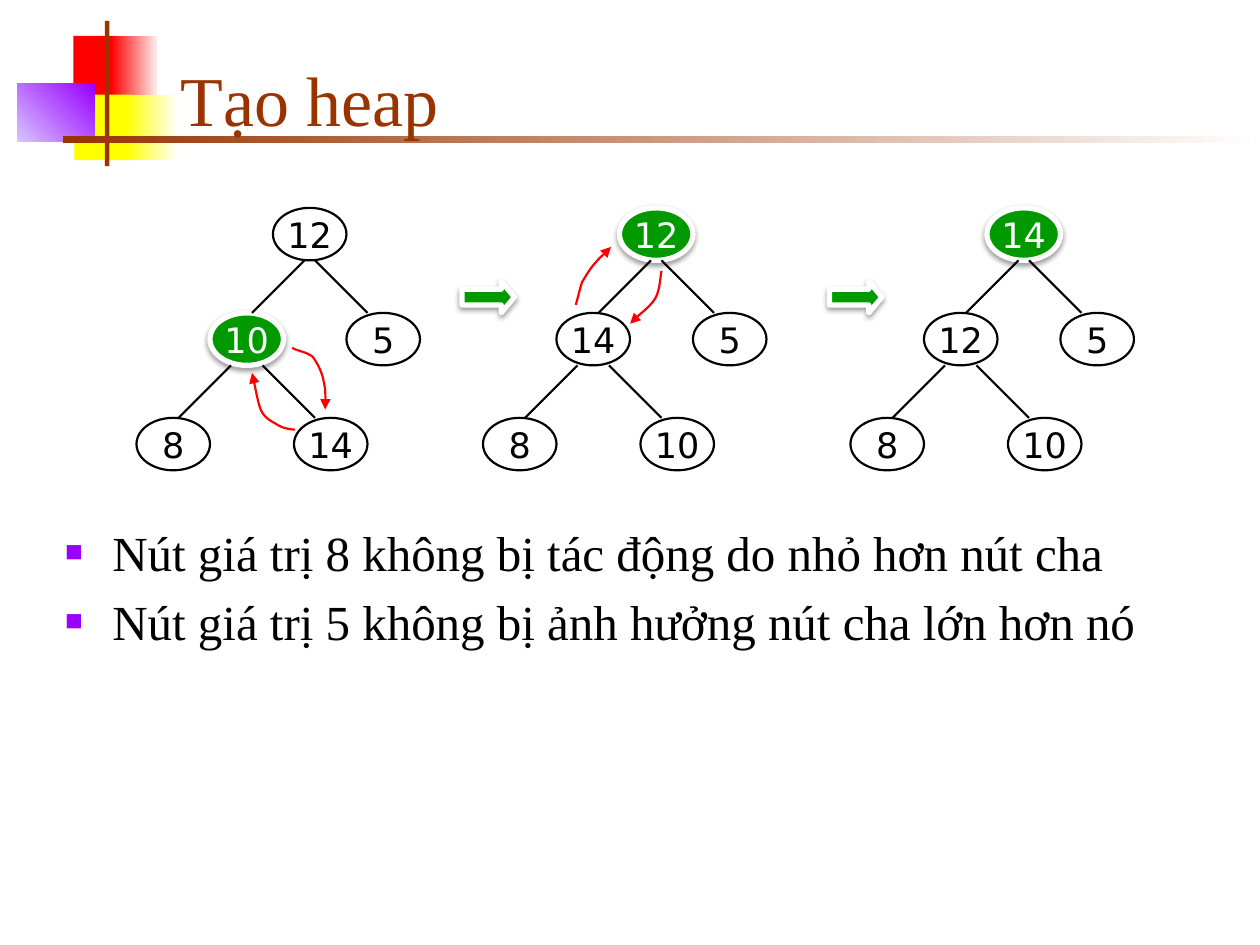
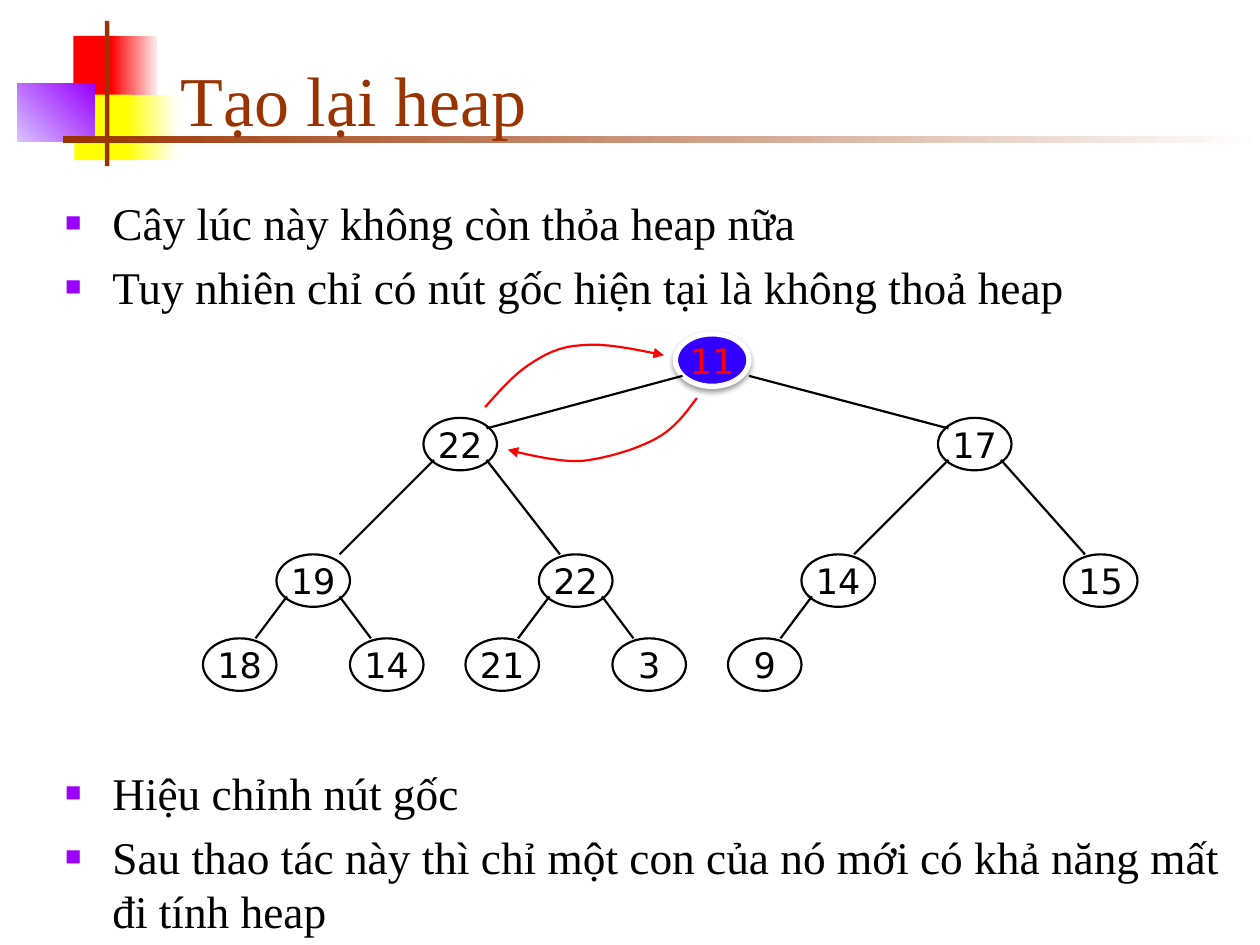
from lxml import etree
from pptx import Presentation
from pptx.dml.color import RGBColor
from pptx.enum.shapes import MSO_CONNECTOR, MSO_SHAPE
from pptx.enum.text import MSO_ANCHOR, MSO_AUTO_SIZE, PP_ALIGN
from pptx.oxml.ns import qn
from pptx.util import Pt

RECTANGLE, ELLIPSE, RIGHT_ARROW = MSO_SHAPE.RECTANGLE, MSO_SHAPE.OVAL, MSO_SHAPE.RIGHT_ARROW
STRAIGHT = MSO_CONNECTOR.STRAIGHT
TOP, MIDDLE, BOTTOM = MSO_ANCHOR.TOP, MSO_ANCHOR.MIDDLE, MSO_ANCHOR.BOTTOM
LEFT, CENTER = PP_ALIGN.LEFT, PP_ALIGN.CENTER

COLORS = {
    "black": "000000", "white": "FFFFFF", "red": "FF0000", "pale_red": "FFEAEA",
    "yellow": "FFFF00", "pale_yellow": "FFFFF8", "purple": "9900FF",
    "pale_purple": "D8C4FF", "brown": "993300", "green": "009900", "blue": "3300FF",
}
TEXT_FONT, NODE_FONT = "Times New Roman", "DejaVu Sans"
TITLE_BOX = (96, 18, 613.5, 66)
NODE_WIDTH, NODE_HEIGHT = 42, 30
CURVE_STEPS = 8

# left, top, width, height, colours (two make a gradient), gradient angle
BAND = [
    (42, 20.5, 25, 37.5, ["red"], 0),
    (63.5, 20.5, 26, 37.5, ["red", "pale_red"], 0),
    (42.5, 54, 33, 37.5, ["yellow"], 0),
    (72, 54, 29, 37.5, ["yellow", "pale_yellow"], 0),
    (10, 48, 44, 33, ["pale_purple", "purple"], 45),
    (60, 12, 2.5, 83, ["brown"], 0),
    (36, 78, 684, 3.75, ["brown", "white"], 0),
]

# Nodes in heap order: left, top, where the parent's edge enters, x of the two exits
SMALL_TREE = [
    (78, 0, None, (18, 24)),
    (42, 60, (24, 0), (12, 30)),
    (120, 60, (12, 0), None),
    (0, 120, (24, 0), None),
    (90, 120, (12, 0), None),
]
LARGE_TREE = [
    (270, 0, None, (4, 42)),
    (126, 48, (36, 6), (6, 36)),
    (420, 48, (6, 6), (6, 36)),
    (42, 126, (36, 0), (6, 36)),
    (192, 126, (12, 0), (6, 36)),
    (342, 126, (30, 0), (6, 36)),
    (492, 126, (12, 0), None),
    (0, 174, (30, 0), None),
    (84, 174, (12, 0), None),
    (150, 174, (30, 0), None),
    (234, 174, (12, 0), None),
    (300, 174, (30, 0), None),
]

# Swap arrows: a start point, then three Bézier points for each segment
LOWER_SWAP = [
    [(90.5, 126.7), (89, 126.7), (83.3, 126), (80.4, 123.8), (76.8, 121.7),
     (73.2, 120.2), (71, 115.2), (68.9, 110.2), (67.4, 98.6), (66, 94.3)],
    [(89, 79.9), (90.5, 81.4), (97, 82.1), (100.6, 85), (103.4, 88.6),
     (106.3, 94.3), (107, 99.4), (108.5, 104.4), (107.8, 112.3), (107.8, 115.2)],
]
UPPER_SWAP = [
    [(53, 55.4), (53.8, 53.3), (55.2, 46.8), (56.6, 42.5), (58.8, 38.9),
     (61.7, 33.8), (64.6, 31), (67.4, 27.4), (71.8, 24.5), (73.2, 22.3)],
    [(102, 36), (101.3, 38.9), (101.3, 46.8), (98.4, 51.8), (95.5, 56.9),
     (86.9, 62.6), (84, 66.2)],
]
ROOT_SWAP = [
    [(161.2, 41.8), (169.1, 33.1), (176.3, 24.5), (185.7, 18), (194.3, 12.2),
     (203, 7.2), (215.9, 6.5), (228.9, 5), (246.2, 8.6), (263.4, 12.2)],
    [(282.2, 36.7), (275.7, 45.4), (269.2, 54.7), (257.7, 60.5), (246.9, 66.2),
     (229.6, 71.3), (215.9, 72.7), (202.2, 73.4), (179.9, 67.7), (174.2, 66.2)],
]


def rgb(name):
    return RGBColor.from_string(COLORS[name])


def add_xml(parent, tag, **attributes):
    return etree.SubElement(parent, qn(tag), {key: str(value) for key, value in attributes.items()})


def place(box, left, top, width, height):
    box.left, box.top, box.width, box.height = map(Pt, (left, top, width, height))


def write(para, text, *, size, color="black", font=TEXT_FONT, align=LEFT):
    para.alignment = align
    span = para.add_run()
    span.text = text
    span.font.size, span.font.name = Pt(size), font
    span.font.color.rgb = rgb(color)


def set_line(shape, color, width=1.25):
    shape.line.color.rgb = rgb(color)
    shape.line.width = Pt(width)


def add_shape(shapes, kind, left, top, width, height):
    shape = shapes.add_shape(kind, Pt(left), Pt(top), Pt(width), Pt(height))
    shape.shadow.inherit = False
    return shape


def emphasize(shape, color):
    """Give a shape a solid fill, a thick white outline and a soft shadow."""
    shape.fill.solid()
    shape.fill.fore_color.rgb = rgb(color)
    set_line(shape, "white", 3)
    effects = shape.element.spPr.find(qn("a:effectLst"))
    shadow = add_xml(effects, "a:outerShdw", blurRad=Pt(3.1), dist=Pt(1.6), dir=5400000, rotWithShape=0)
    black = add_xml(shadow, "a:srgbClr", val=COLORS["black"])
    add_xml(black, "a:alpha", val=38000)


def add_band(shapes):
    parts = []
    for left, top, width, height, colors, angle in BAND:
        part = add_shape(shapes, RECTANGLE, left, top, width, height)
        part.line.fill.background()
        if len(colors) == 1:
            part.fill.solid()
            part.fill.fore_color.rgb = rgb(colors[0])
        else:
            part.fill.gradient()
            part.fill.gradient_angle = angle
            for stop, color in zip(part.fill.gradient_stops, colors):
                stop.color.rgb = rgb(color)
        parts.append(part)
    return parts


def prepare_layout(layout, page):
    """Clear the footers from the layout and move the band, drawn on a page, behind its text."""
    for holder in list(layout.placeholders)[2:]:
        layout.shapes.element.remove(holder.element)
    for index, part in enumerate(add_band(page.shapes), start=2):
        layout.shapes.element.insert(index, part.element)
    place(layout.placeholders[0], *TITLE_BOX)


def fill_title(page, text):
    box = page.shapes.title
    place(box, *TITLE_BOX)
    frame = box.text_frame
    frame.word_wrap, frame.auto_size, frame.vertical_anchor = True, MSO_AUTO_SIZE.NONE, BOTTOM
    write(frame.paragraphs[0], text, size=40, color="brown")


def fill_list(page, area, items, size, gaps=None):
    """Write bullets; gaps maps an item's index to a larger space before it."""
    box = page.placeholders[1]
    place(box, *area)
    frame = box.text_frame
    frame.word_wrap, frame.auto_size, frame.vertical_anchor = True, MSO_AUTO_SIZE.NONE, TOP
    for index, text in enumerate(items):
        para = frame.add_paragraph() if index else frame.paragraphs[0]
        props = para._p.get_or_add_pPr()
        props.set("marL", str(Pt(27)))
        props.set("indent", str(Pt(-27)))
        add_xml(add_xml(props, "a:buClr"), "a:srgbClr", val=COLORS["purple"])
        add_xml(props, "a:buSzPct", val=60000)
        add_xml(props, "a:buFont", typeface=TEXT_FONT)
        add_xml(props, "a:buChar", char="■")
        para.space_before = Pt((gaps or {}).get(index, size * 0.2) if index else 0)
        write(para, text, size=size)


def add_node(shapes, left, top, value, fill=None, color="black"):
    node = add_shape(shapes, ELLIPSE, left, top, NODE_WIDTH, NODE_HEIGHT)
    if fill:
        emphasize(node, fill)
    else:
        node.fill.background()
        set_line(node, "black")
    frame = node.text_frame
    frame.word_wrap, frame.vertical_anchor = False, MIDDLE
    write(frame.paragraphs[0], str(value), size=20, color=color, font=NODE_FONT, align=CENTER)


def add_edge(shapes, x1, y1, x2, y2):
    edge = shapes.add_connector(STRAIGHT, Pt(x1), Pt(y1), Pt(x2), Pt(y2))
    set_line(edge, "black")
    add_xml(edge.element.spPr, "a:effectLst")


def curve_points(points):
    """Sample a chain of cubic Bézier segments."""
    samples = [points[0]]
    for first in range(0, len(points) - 1, 3):
        segment = points[first:first + 4]
        for step in range(1, CURVE_STEPS + 1):
            t = step / CURVE_STEPS
            weights = ((1 - t) ** 3, 3 * t * (1 - t) ** 2, 3 * t * t * (1 - t), t ** 3)
            samples.append(tuple(sum(w * point[axis] for w, point in zip(weights, segment))
                                 for axis in (0, 1)))
    return samples


def add_swap_arrow(shapes, left, top, points):
    start, *rest = [(Pt(left + x), Pt(top + y)) for x, y in curve_points(points)]
    builder = shapes.build_freeform(*start)
    builder.add_line_segments(rest, close=False)
    arrow = builder.convert_to_shape()
    arrow.shadow.inherit = False
    arrow.fill.background()
    set_line(arrow, "red")
    add_xml(arrow.line._get_or_add_ln(), "a:tailEnd", type="triangle")


def add_step_arrow(shapes, left, top):
    arrow = add_shape(shapes, RIGHT_ARROW, left, top, 30, 18)
    arrow.adjustments[0], arrow.adjustments[1] = 0.5, 0.417
    emphasize(arrow, "green")


def add_tree(page, left, top, layout, values, *, marked, fill, color, exit_y, swaps=(), step=False):
    """Draw a heap as a group; marked is the index of the highlighted node."""
    shapes = page.shapes.add_group_shape().shapes
    if step:
        add_step_arrow(shapes, left - 12, top + 42)
    for index, ((x, y, entry, _), value) in enumerate(zip(layout, values)):
        look = {"fill": fill, "color": color} if index == marked else {}
        add_node(shapes, left + x, top + y, value, **look)
        if index:
            parent_x, parent_y, _, exits = layout[(index - 1) // 2]
            add_edge(shapes, left + parent_x + exits[(index - 1) % 2], top + parent_y + exit_y,
                     left + x + entry[0], top + y + entry[1])
    for points in swaps:
        add_swap_arrow(shapes, left, top, points)


def build_heap_slide(page):
    fill_title(page, "Tạo heap")
    fill_list(page, (30, 295, 675, 188), [
        "Nút giá trị 8 không bị tác động do nhỏ hơn nút cha",
        "Nút giá trị 5 không bị ảnh hưởng nút cha lớn hơn nó",
    ], size=28)
    stages = [
        (78, [12, 10, 5, 8, 14], 1, LOWER_SWAP),
        (276, [12, 14, 5, 8, 10], 0, UPPER_SWAP),
        (486, [14, 12, 5, 8, 10], 0, ()),
    ]
    for index, (left, values, marked, swaps) in enumerate(stages):
        add_tree(page, left, 118.8, SMALL_TREE, values, marked=marked, fill="green",
                 color="white", exit_y=30, swaps=swaps, step=index > 0)


def build_reheap_slide(page):
    fill_title(page, "Tạo lại heap")
    fill_list(page, (30, 108, 675, 410), [
        "Cây lúc này không còn thỏa heap nữa",
        "Tuy nhiên chỉ có nút gốc hiện tại là không thoả heap",
        "Hiệu chỉnh nút gốc",
        "Sau thao tác này thì chỉ một con của nó mới có khả năng mất đi tính heap",
    ], size=25.9, gaps={2: 258.5})
    add_tree(page, 116, 190.8, LARGE_TREE, [11, 22, 17, 19, 22, 14, 15, 18, 14, 21, 3, 9],
             marked=0, fill="blue", color="red", exit_y=24, swaps=ROOT_SWAP)


def main():
    deck = Presentation()
    deck.slide_width, deck.slide_height = Pt(720), Pt(540)
    layout = deck.slide_layouts[1]
    first = deck.slides.add_slide(layout)
    prepare_layout(layout, first)
    build_heap_slide(first)
    build_reheap_slide(deck.slides.add_slide(layout))
    deck.save("out.pptx")


if __name__ == "__main__":
    main()
